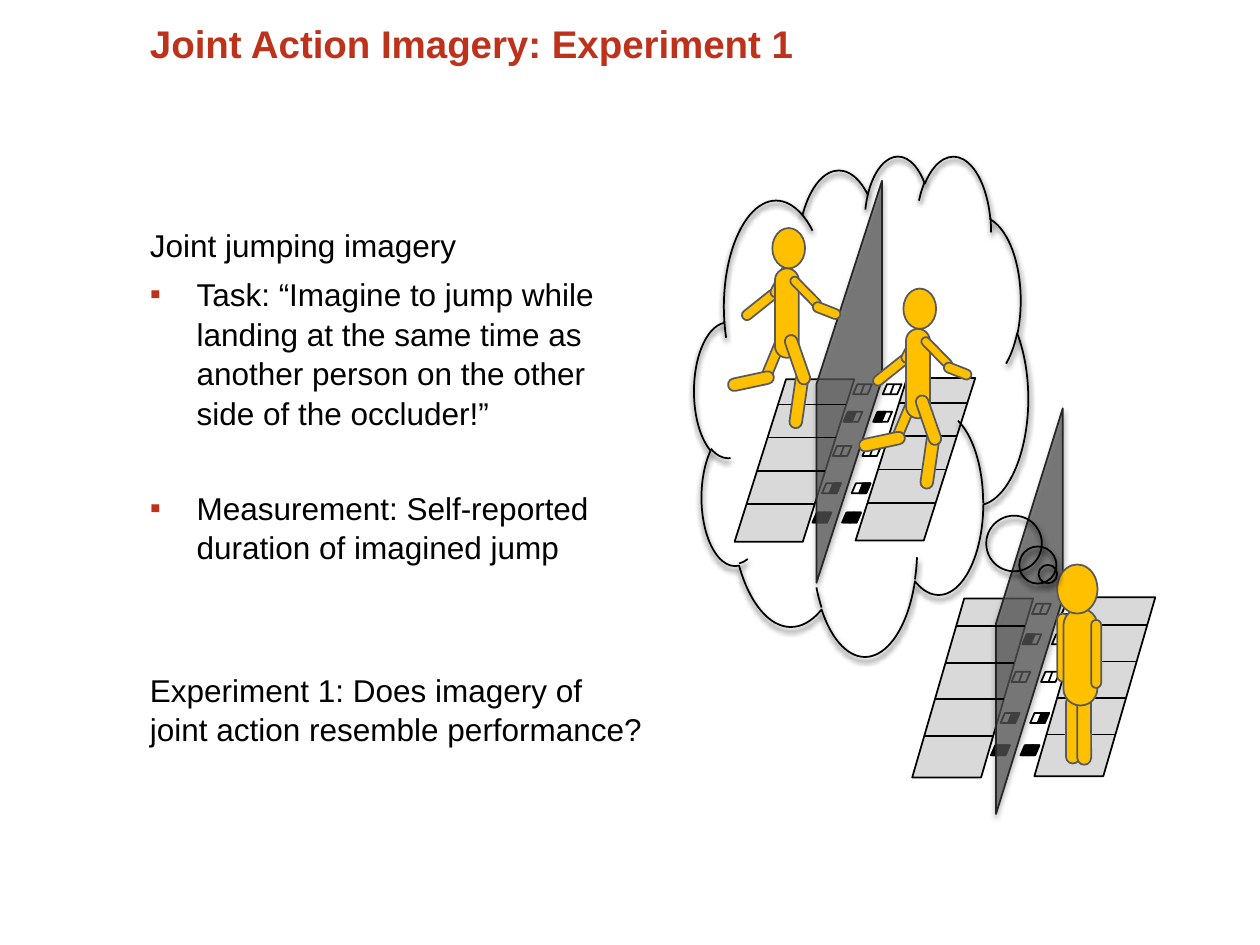
import pptx
import pptx.util
import pptx.dml.color
import pptx.enum.shapes
import pptx.enum.text
import pptx.oxml.ns
from lxml import etree

Inches, Pt = pptx.util.Inches, pptx.util.Pt
SHAPE = pptx.enum.shapes.MSO_SHAPE
qn = pptx.oxml.ns.qn
FONT = "Arial"
COLORS = {
    "accent": "BE311A", "text": "000000", "line": "000000", "mark": "000000",
    "lane": "D9D9D9", "occluder": "595959", "occluder_line": "262626",
    "skin": "FFC000", "skin_line": "595959",
}
BODY = [
    ("Joint jumping imagery", False, 0),
    ("Task: “Imagine to jump while landing at the same time as another person "
     "on the other side of the occluder!”", True, 5.2),
    ("Measurement: Self-reported duration of imagined jump", True, 31.5),
    ("Experiment 1: Does imagery of joint action resemble performance?", False, 58.5),
]
SLANT = 0.43
MARK_W, MARK_H, HALF_W = 0.15, 0.08, 0.09
MARK_ROWS = [(0.99, 0.03), (0.91, 0.2), (0.82, 0.41), (0.73, 0.64), (0.65, 0.82)]
HALVES = [(), (0.01,), (), (0.06,), (0.01, 0.06)]
COVERED_HALVES = [(), (0.06,), (), (0.06,), (0.01, 0.06)]
BACK_ARM = [(0.03, 0.44, 0.08, 0.34, 51.4), (0.2, 0.28, 0.08, 0.28, 27.3)]
JUMPER = [
    (0.14, 0.83, 0.08, 0.41, 22.6), (-0.05, 1.03, 0.1, 0.37, 77.9),
    (0.19, 0.32, 0.19, 0.71, 0), (0.33, 1.15, 0.1, 0.44, 8.2),
    (0.32, 0.84, 0.1, 0.41, 340.9), (0.4, 0.35, 0.07, 0.32, 135.6),
    (0.56, 0.54, 0.08, 0.23, 111.5),
]
STANDER = [
    (0.07, 1.04, 0.11, 0.54, 0), (0.16, 1.05, 0.11, 0.54, 0),
    (0, 0.39, 0.09, 0.54, 0), (0.05, 0.35, 0.27, 0.77, 0),
    (0.27, 0.44, 0.08, 0.54, 0),
]


def rgb(name):
    """Return the named colour."""
    return pptx.dml.color.RGBColor.from_string(COLORS[name])


def add_shape(s, kind, x, y, w, h, fill=None, line="line", adj=None, rot=0):
    """Add a flat outlined preset shape."""
    sp = s.shapes.add_shape(kind, Inches(x), Inches(y), Inches(w), Inches(h))
    sp.shadow.inherit = False
    for i, value in enumerate(adj or []):
        sp.adjustments[i] = value
    if fill:
        sp.fill.solid()
        sp.fill.fore_color.rgb = rgb(fill)
    else:
        sp.fill.background()
    sp.line.color.rgb = rgb(line)
    sp.line.width = Pt(1)
    sp.rotation = rot
    return sp


def add_line(s, x1, y1, x2, y2):
    """Add a thin straight line without shadow."""
    cn = s.shapes.add_connector(pptx.enum.shapes.MSO_CONNECTOR.STRAIGHT,
                                Inches(x1), Inches(y1), Inches(x2), Inches(y2))
    cn.line.color.rgb = rgb("line")
    cn.line.width = Pt(1)
    etree.SubElement(cn._element.spPr, qn("a:effectLst"))


def add_shadow(sp, alpha):
    """Give a shape a soft shadow straight below it."""
    effects = sp._element.spPr.find(qn("a:effectLst"))
    shadow = etree.SubElement(effects, qn("a:outerShdw"), blurRad=str(Pt(3.1)),
                              dist=str(Pt(1.8)), dir="5400000", rotWithShape="0")
    color = etree.SubElement(shadow, qn("a:srgbClr"), val="000000")
    etree.SubElement(color, qn("a:alpha"), val=str(alpha * 1000))


def style_text(p, size, color, bold=False):
    """Format the runs of a paragraph."""
    for r in p.runs:
        r.font.name = FONT
        r.font.size = Pt(size)
        r.font.bold = bold
        r.font.color.rgb = rgb(color)


def place_text(ph, x, y, w, h):
    """Move a placeholder and clear its margins."""
    ph.left, ph.top, ph.width, ph.height = map(Inches, (x, y, w, h))
    tf = ph.text_frame
    tf.margin_left = tf.margin_right = tf.margin_top = tf.margin_bottom = 0
    tf.word_wrap = True
    tf.auto_size = pptx.enum.text.MSO_AUTO_SIZE.NONE
    return tf


def add_title(s, x, y, w, h):
    """Fill the title placeholder."""
    tf = place_text(s.shapes.title, x, y, w, h)
    tf.vertical_anchor = pptx.enum.text.MSO_ANCHOR.MIDDLE
    tf.text = "Joint Action Imagery: Experiment 1"
    p = tf.paragraphs[0]
    p.alignment = pptx.enum.text.PP_ALIGN.LEFT
    p.line_spacing = 0.92
    style_text(p, 22, "accent", True)


def add_body(s, x, y, w, h):
    """Fill the body placeholder with plain and bulleted paragraphs."""
    tf = place_text(s.placeholders[1], x, y, w, h)
    tf.vertical_anchor = pptx.enum.text.MSO_ANCHOR.TOP
    for i, (text, bulleted, before) in enumerate(BODY):
        p = tf.add_paragraph() if i else tf.paragraphs[0]
        p.text = text
        pPr = p._p.get_or_add_pPr()
        indent = Inches(0.37) if bulleted else 0
        pPr.set("marL", str(indent))
        pPr.set("indent", str(-indent))
        if bulleted:
            color = etree.SubElement(pPr, qn("a:buClr"))
            etree.SubElement(color, qn("a:srgbClr"), val=COLORS["accent"])
            etree.SubElement(pPr, qn("a:buFont"), typeface=FONT)
            etree.SubElement(pPr, qn("a:buChar"), char="▪")
        else:
            etree.SubElement(pPr, qn("a:buNone"))
        p.line_spacing = 1.05
        p.space_before = Pt(before)
        style_text(p, 18, "text")


def add_lane_lines(s, x, y, w, h):
    """Divide a slanted lane into five fields."""
    for i in range(4):
        part = 0.155 + 0.204 * i
        left = x + SLANT * w * (1 - part)
        add_line(s, left, y + part * h, left + (1 - SLANT) * w, y + part * h)


def add_marks(s, x, y, w, h, halves):
    """Add the column of landing marks beside a lane."""
    def mark(left, top, width, fill):
        add_shape(s, SHAPE.PARALLELOGRAM, left, top, width, MARK_H, fill, adj=[SLANT])

    for row, ((fx, fy), filled) in enumerate(zip(MARK_ROWS, halves)):
        left, top = x + fx * w, y + fy * h
        for dx in filled:
            mark(left + dx, top, HALF_W, "mark")
        add_line(s, left + 0.09, top, left + 0.06, top + MARK_H)
        mark(left, top, MARK_W, "mark" if len(filled) == 2 else None)


def add_occluder(s, cx, cy, length, depth, adj):
    """Add the translucent upright panel centred on a point."""
    sp = add_shape(s, SHAPE.PARALLELOGRAM, cx - length / 2, cy - depth / 2, length, depth,
                   "occluder", "occluder_line", [adj], 90)
    sp._element.spPr.find(qn("a:xfrm")).set("flipV", "1")
    color = sp._element.spPr.find(qn("a:solidFill")).find(qn("a:srgbClr"))
    etree.SubElement(color, qn("a:alpha"), val="71000")
    add_shadow(sp, 35)


def add_court(s, x, y, w, h, occluder, right_halves):
    """Add two lanes with marks, parted by an occluder."""
    right = (x + w + 0.01, y - 0.01, w, h)
    add_shape(s, SHAPE.PARALLELOGRAM, x, y, w, h, "lane", adj=[SLANT])
    add_marks(s, x, y, w, h, HALVES)
    add_occluder(s, *occluder)
    add_shape(s, SHAPE.PARALLELOGRAM, *right, "lane", adj=[SLANT])
    add_lane_lines(s, *right)
    add_marks(s, x + 0.235, y, w, h, right_halves)
    add_lane_lines(s, x, y, w, h)


def add_limbs(s, x, y, limbs):
    """Add rounded body parts relative to a corner."""
    for dx, dy, w, h, rot in limbs:
        add_shape(s, SHAPE.ROUNDED_RECTANGLE, x + dx, y + dy, w, h,
                  "skin", "skin_line", [0.5], rot)


def add_head(s, x, y, w, h):
    """Add an oval head."""
    add_shape(s, SHAPE.OVAL, x, y, w, h, "skin", "skin_line")


def add_jumper(s, x, y, arm_drop=0):
    """Add a jumping figure."""
    add_limbs(s, x, y + arm_drop, BACK_ARM)
    add_limbs(s, x, y, JUMPER[:2])
    add_head(s, x + 0.17, y, 0.26, 0.32)
    add_limbs(s, x, y, JUMPER[2:])


def add_stander(s, x, y):
    """Add a standing figure."""
    add_limbs(s, x, y, STANDER)
    add_head(s, x, y, 0.32, 0.39)


def add_thought(s, x, y, w, h):
    """Add the thought cloud outline."""
    sp = add_shape(s, SHAPE.CLOUD_CALLOUT, x, y, w, h, adj=[0.559, 0.338])
    add_shadow(sp, 81)


def main():
    """Build and save the slide."""
    prs = pptx.Presentation()
    prs.slide_width, prs.slide_height = Inches(10), Inches(7.5)
    s = prs.slides.add_slide(prs.slide_layouts[1])
    add_title(s, 1.19, 0.13, 8.45, 0.47)
    add_body(s, 1.19, 1.78, 3.96, 4.91)
    add_court(s, 7.24, 4.75, 0.96, 1.42, (8.17, 4.85, 3.22, 0.53, 3.222), COVERED_HALVES)
    add_stander(s, 8.39, 4.48)
    add_court(s, 5.83, 3.01, 0.95, 1.29, (6.74, 3.03, 3.19, 0.52, 3.105), HALVES)
    add_jumper(s, 5.96, 1.81)
    add_jumper(s, 7.0, 2.29, 0.04)
    add_thought(s, 5.51, 1.23, 2.65, 3.97)
    prs.save("out.pptx")


if __name__ == "__main__":
    main()
